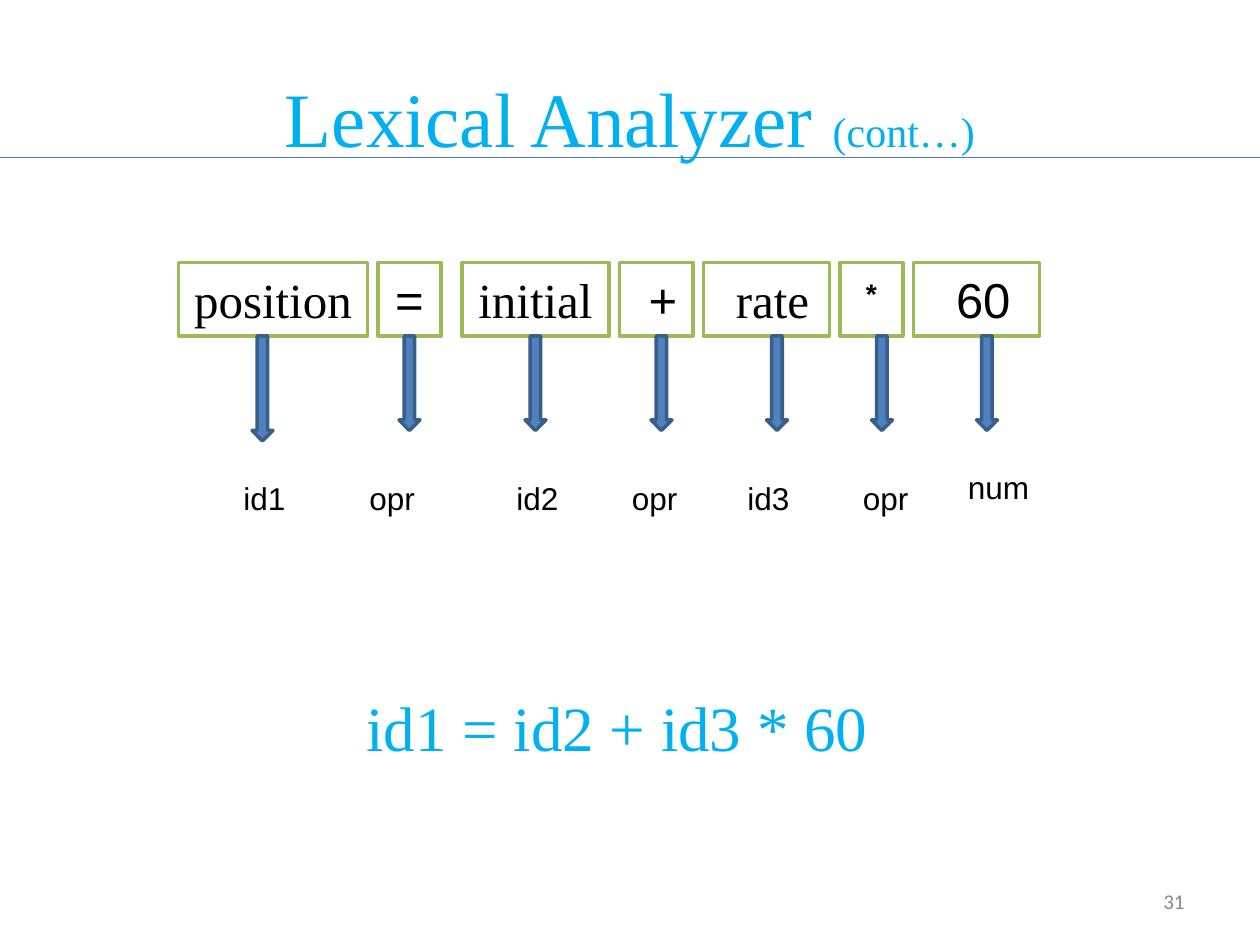
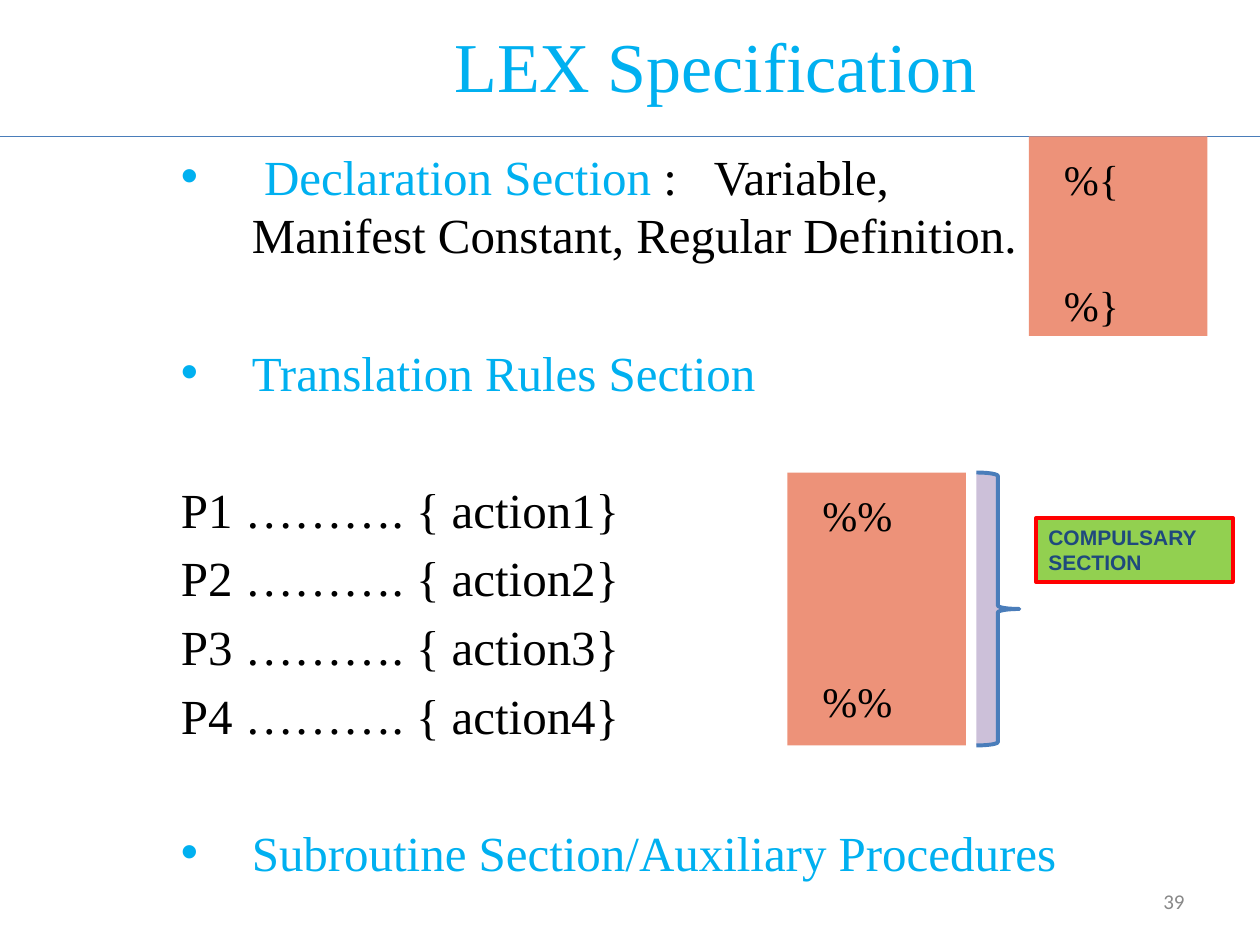
import pptx
import pptx.util
import pptx.dml.color
import pptx.enum.shapes
import pptx.enum.text
import lxml.etree

Pt = pptx.util.Pt
SHAPE = pptx.enum.shapes.MSO_SHAPE
ALIGN = pptx.enum.text.PP_ALIGN
ANCHOR = pptx.enum.text.MSO_ANCHOR

COLORS = {
    "sky": "00B0F0", "black": "000000", "white": "FFFFFF", "grey": "888888",
    "rule": "4A7DBA", "token": "9BBB59", "arrow": "4F81BD", "arrow_edge": "395E89",
    "code": "ED9279", "brace": "CCC0D9", "note": "92D050", "red": "FF0000", "navy": "1F497D",
}
SERIF, SANS, FOOTER = "Times New Roman", "Arial", "Calibri"
WIDTH, HEIGHT = 720, 540

# text, font, box left, box width, arrow left, arrow height, label, label left, top, width
TOKENS = [
    ("position", SERIF, 102, 108, 144, 60, "id1", 132, 270, 42),
    ("=", SANS, 216, 36, 228, 54, "opr", 204, 270, 54),
    ("initial", SERIF, 264, 84, 300, 54, "id2", 288, 270, 42),
    (" +", SANS, 354, 42, 372, 54, "opr", 354, 270, 42),
    (" rate", SERIF, 402, 72, 438, 54, "id3", 420, 270, 42),
    ("*", SANS, 480, 36, 498, 54, "opr", 486, 270, 42),
    (" 60", SANS, 522, 72, 558, 54, "num", 546, 264, 54),
]


def rgb(name):
    return pptx.dml.color.RGBColor.from_string(COLORS[name])


def add_run(p, text, size, font=SERIF, color="black", bold=None):
    r = p.add_run()
    r.text = text
    r.font.size = Pt(size)
    r.font.name = font
    r.font.bold = bold
    r.font.color.rgb = rgb(color)
    return r


def set_frame(tf, anchor=ANCHOR.TOP, align=ALIGN.LEFT):
    """Prepare a wrapping text frame and return its first paragraph."""
    tf.word_wrap = True
    tf.vertical_anchor = anchor
    p = tf.paragraphs[0]
    p.alignment = align
    return p


def add_text(s, box, anchor=ANCHOR.TOP, align=ALIGN.LEFT):
    sp = s.shapes.add_textbox(*map(Pt, box))
    return set_frame(sp.text_frame, anchor, align)


def add_box(s, kind, box, fill, line=None, weight=2):
    sp = s.shapes.add_shape(kind, *map(Pt, box))
    sp.shadow.inherit = False
    sp.fill.solid()
    sp.fill.fore_color.rgb = rgb(fill)
    if line:
        sp.line.color.rgb = rgb(line)
        sp.line.width = Pt(weight)
    else:
        sp.line.fill.background()
    return sp


def add_rule(s, y):
    c = s.shapes.add_connector(pptx.enum.shapes.MSO_CONNECTOR.STRAIGHT, 0, Pt(y), Pt(WIDTH), Pt(y))
    c.line.color.rgb = rgb("rule")
    c.line.width = Pt(0.75)
    lxml.etree.SubElement(c._element.spPr, pptx.oxml.ns.qn("a:effectLst"))


def add_slide(prs, title_box, title_runs, rule_y, number):
    """Add a slide with the shared title, rule and page number."""
    s = prs.slides.add_slide(prs.slide_layouts[6])
    p = add_text(s, title_box, ANCHOR.MIDDLE, ALIGN.CENTER)
    for text, size in title_runs:
        add_run(p, text, size, color="sky")
    add_rule(s, rule_y)
    p = add_text(s, (516, 500.5, 168, 28.75), ANCHOR.MIDDLE, ALIGN.RIGHT)
    add_run(p, number, 12, FOOTER, "grey")
    return s


def add_tokens(s, top, height):
    """Draw each token box with the arrow to its lexical class."""
    for text, font, x, w, arrow_x, arrow_h, label, label_x, label_y, label_w in TOKENS:
        sp = add_box(s, SHAPE.RECTANGLE, (x, top, w, height), "white", "token")
        p = set_frame(sp.text_frame, ANCHOR.MIDDLE, ALIGN.CENTER)
        r = add_run(p, text, 28, font)
        if text == "*":
            r.font.bold = True
            r.font._element.set("baseline", "30000")
        add_box(s, SHAPE.DOWN_ARROW, (arrow_x, top + height, 12, arrow_h), "arrow", "arrow_edge")
        add_run(add_text(s, (label_x, label_y, label_w, 29)), label, 18, SANS)


def set_bullet(p, char, color):
    pPr = p._p.get_or_add_pPr()
    pPr.set("marL", str(Pt(46.8)))
    pPr.set("indent", str(Pt(-40.5)))
    clr = lxml.etree.SubElement(pPr, pptx.oxml.ns.qn("a:buClr"))
    lxml.etree.SubElement(clr, pptx.oxml.ns.qn("a:srgbClr"), val=COLORS[color])
    lxml.etree.SubElement(pPr, pptx.oxml.ns.qn("a:buFont"), typeface=SANS)
    lxml.etree.SubElement(pPr, pptx.oxml.ns.qn("a:buChar"), char=char)


def add_sections(s, box):
    """List the three sections of a LEX file with the rule patterns."""
    line, gap = 33.6, 5.6
    wide = line + 2 * gap
    rows = [(" Declaration Section ", True, 0), ("Translation Rules Section", True, wide)]
    rows += [(f"P{i} ………. {{ action{i}}}", False, wide if i == 1 else gap) for i in range(1, 5)]
    rows.append(("Subroutine Section/Auxiliary Procedures", True, wide))
    p = add_text(s, box)
    tf = s.shapes[-1].text_frame
    for i, (text, is_heading, before) in enumerate(rows):
        if i:
            p = tf.add_paragraph()
        p.line_spacing = Pt(line)
        p.space_before = Pt(before)
        if is_heading:
            set_bullet(p, "•", "sky")
        else:
            p._p.get_or_add_pPr().set("marL", str(Pt(6.3)))
        add_run(p, text, 28, color="sky" if is_heading else "black")
        if i == 0:
            r = add_run(p, ": ", 28)
            r.font._element.set("spc", "700")
            add_run(p, "Variable, Manifest Constant, Regular Definition.", 28)


def add_code_block(s, box, opening, closing, gap):
    """Draw a panel whose delimiters stand a given gap apart."""
    tf = add_box(s, SHAPE.RECTANGLE, box, "code").text_frame
    tf.margin_left, tf.margin_top = Pt(20), Pt(9.5)
    add_run(set_frame(tf), opening, 24)
    p = tf.add_paragraph()
    p.alignment = ALIGN.LEFT
    p.space_before = Pt(gap)
    add_run(p, closing, 24)


def add_compulsory_part(s, x, y, w, h):
    """Draw the rules panel, its brace and the note beside it."""
    add_code_block(s, (x, y, w, h), "%%", "%%", 77.5)
    sp = add_box(s, SHAPE.RIGHT_BRACE, (x + w + 6, y, 24.5, h), "brace", "rule", 2.25)
    sp.adjustments[0] = 0.08
    sp = add_box(s, SHAPE.RECTANGLE, (x + w + 40, y + 26, 112.5, 36.5), "note", "red", 2.25)
    add_run(set_frame(sp.text_frame), "COMPULSARY SECTION", 12, SANS, "navy", True)


def build_analyzer(prs):
    s = add_slide(prs, (36, 21.6, 648, 90), [("Lexical Analyzer ", 44), ("(cont…)", 24)], 90, "31")
    add_tokens(s, 150, 42)
    p = add_text(s, (162, 390, 372, 51), align=ALIGN.CENTER)
    add_run(p, " id1 = id2 + id3 * 60", 36, color="sky")


def build_specification(prs):
    s = add_slide(prs, (114, 0, 590, 74), [("LEX Specification", 40)], 78, "39")
    add_sections(s, (90, 80, 528, 430))
    add_code_block(s, (588, 78, 102, 114), "%{", "%}", 43.3)
    add_compulsory_part(s, 450, 270, 102, 156)


def main():
    prs = pptx.Presentation()
    prs.slide_width, prs.slide_height = Pt(WIDTH), Pt(HEIGHT)
    build_analyzer(prs)
    build_specification(prs)
    prs.save("out.pptx")


if __name__ == "__main__":
    main()
